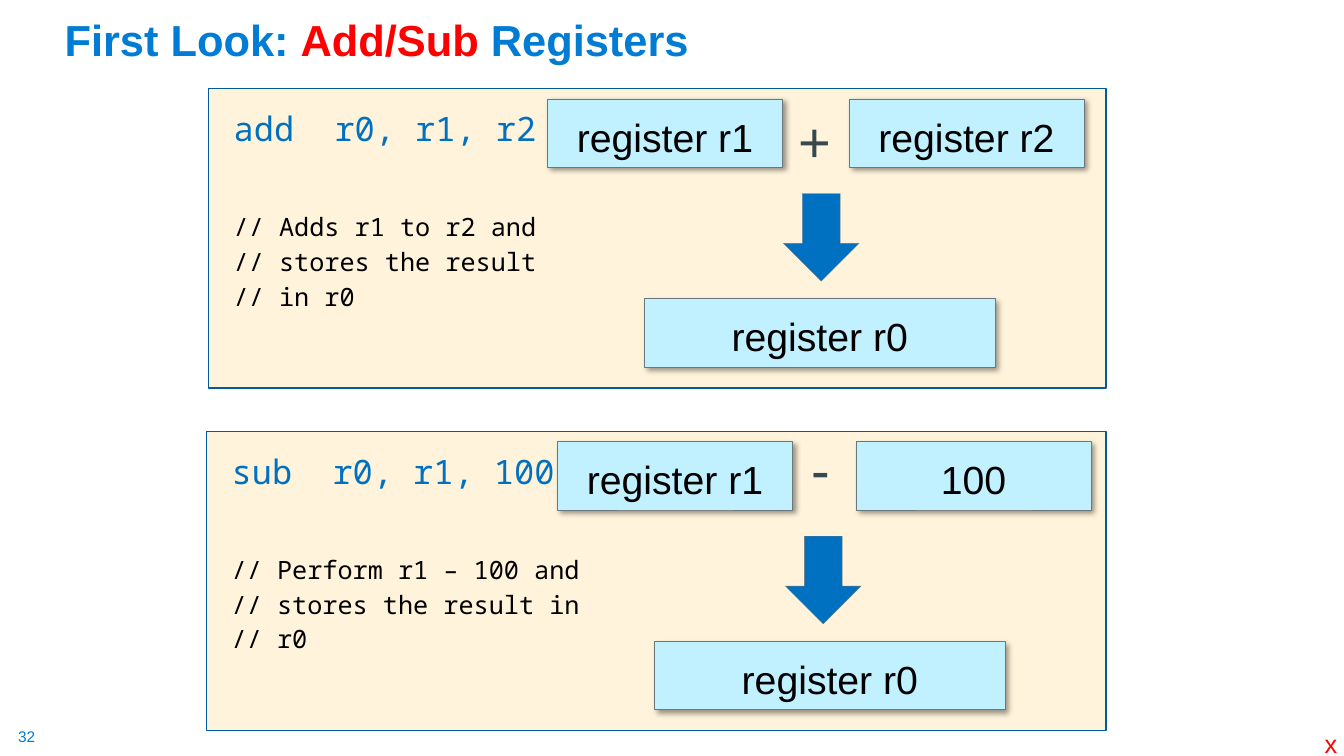
from dataclasses import dataclass

from lxml import etree
from pptx import Presentation
from pptx.dml.color import RGBColor
from pptx.enum.shapes import MSO_SHAPE
from pptx.enum.text import MSO_ANCHOR, MSO_AUTO_SIZE, PP_ALIGN
from pptx.oxml.ns import qn
from pptx.util import Inches, Pt

RECTANGLE, DOWN_ARROW = MSO_SHAPE.RECTANGLE, MSO_SHAPE.DOWN_ARROW
MIDDLE, BOTTOM = MSO_ANCHOR.MIDDLE, MSO_ANCHOR.BOTTOM
LEFT, CENTER = PP_ALIGN.LEFT, PP_ALIGN.CENTER
FIT_SHAPE, NO_FIT = MSO_AUTO_SIZE.SHAPE_TO_FIT_TEXT, MSO_AUTO_SIZE.NONE

TITLE_BLUE = RGBColor(0x00, 0x7C, 0xD5)
CODE_BLUE = RGBColor(0x00, 0x70, 0xC0)
PANEL_EDGE = RGBColor(0x00, 0x5C, 0x9E)
CREAM = RGBColor(0xFF, 0xF4, 0xDB)
PALE_CYAN = RGBColor(0xC1, 0xF0, 0xFF)
GREY = RGBColor(0x6B, 0x76, 0x7D)
SLATE = RGBColor(0x38, 0x48, 0x51)
RED = RGBColor(0xFF, 0x00, 0x00)
BLACK = RGBColor(0x00, 0x00, 0x00)

SANS, MONO = "Arial", "Noto Sans Mono"
REGISTER_WIDTH, RESULT_WIDTH, REGISTER_HEIGHT = 2.33, 3.48, 0.68


@dataclass
class Box:
    left: float
    top: float
    width: float
    height: float

    def emu(self):
        return [Inches(v) for v in (self.left, self.top, self.width, self.height)]


@dataclass
class Instruction:
    panel: Box
    code: str
    comments: list[str]
    code_width: float
    operands: tuple[str, str]
    operand_lefts: tuple[float, float]
    operator: str
    operator_box: Box
    arrow_left: float
    result_left: float


INSTRUCTIONS = [
    Instruction(Box(2.07, 0.88, 8.9, 2.97), "add\tr0, r1, r2",
                ["// Adds r1 to r2 and", "// stores the result // in r0"], 3.2,
                ("register r1", "register r2"), (5.43, 8.42),
                "+", Box(7.82, 1.01, 0.53, 0.77), 7.77, 6.39),
    Instruction(Box(2.05, 4.28, 8.92, 2.97), "sub\tr0, r1, 100",
                ["// Perform r1 – 100 and", "// stores the result in", "// r0"], 4.33,
                ("register r1", "100"), (5.53, 8.49),
                "-", Box(7.95, 4.26, 0.39, 0.77), 7.79, 6.49),
]


def style(item, size: float, color: RGBColor, name: str = SANS) -> None:
    item.font.size = Pt(size)
    item.font.name = name
    item.font.color.rgb = color


def add_filled(slide, kind, box: Box, fill: RGBColor, edge: RGBColor, weight: float):
    shape = slide.shapes.add_shape(kind, *box.emu())
    shape.shadow.inherit = False
    shape.fill.solid()
    shape.fill.fore_color.rgb = fill
    shape.line.color.rgb = edge
    shape.line.width = Pt(weight)
    return shape


def add_register(slide, box: Box, label: str) -> None:
    register = add_filled(slide, RECTANGLE, box, PALE_CYAN, GREY, 0.25)
    effects = register._element.spPr.find(qn("a:effectLst"))
    shadow = etree.SubElement(effects, qn("a:outerShdw"), blurRad=str(Pt(4)),
                              dist=str(Pt(3)), dir="2700000", algn="tl", rotWithShape="0")
    shade = etree.SubElement(shadow, qn("a:srgbClr"), val="000000")
    etree.SubElement(shade, qn("a:alpha"), val="40000")
    frame = register.text_frame
    frame.text = label
    frame.vertical_anchor = MIDDLE
    paragraph = frame.paragraphs[0]
    paragraph.alignment = CENTER
    paragraph.line_spacing = 1.15
    style(paragraph.runs[0], 28, BLACK)


def add_label(slide, box: Box, text: str, size: float, color: RGBColor):
    frame = slide.shapes.add_textbox(*box.emu()).text_frame
    frame.word_wrap = False
    frame.auto_size = FIT_SHAPE
    frame.text = text
    style(frame.paragraphs[0].runs[0], size, color)
    return frame


def add_code(slide, box: Box, code: str, comments: list[str]) -> None:
    frame = slide.shapes.add_textbox(*box.emu()).text_frame
    frame.word_wrap = True
    frame.text = code
    style(frame.paragraphs[0].runs[0], 24, CODE_BLUE, MONO)
    for index, comment in enumerate(comments):
        paragraph = frame.add_paragraph()
        paragraph.text = comment
        paragraph.line_spacing = 1.15
        paragraph.space_before = Pt(0 if index else 42)
        style(paragraph.runs[0], 18, BLACK, MONO)


def add_instruction(slide, item: Instruction) -> None:
    left, top = item.panel.left, item.panel.top
    add_filled(slide, RECTANGLE, item.panel, CREAM, PANEL_EDGE, 1)
    add_code(slide, Box(left + 0.15, top + 0.14, item.code_width, 2.46),
             item.code, item.comments)
    for label, operand_left in zip(item.operands, item.operand_lefts):
        add_register(slide, Box(operand_left, top + 0.1, REGISTER_WIDTH, REGISTER_HEIGHT), label)
    add_label(slide, item.operator_box, item.operator, 40, SLATE)
    add_filled(slide, DOWN_ARROW, Box(item.arrow_left, top + 1.04, 0.75, 0.87),
               CODE_BLUE, GREY, 0.25)
    add_register(slide, Box(item.result_left, top + 2.08, RESULT_WIDTH, REGISTER_HEIGHT),
                 "register r0")


def set_title(slide) -> None:
    title = slide.shapes.title
    title.left, title.top, title.width, title.height = Box(0.54, 0.09, 11.5, 0.61).emu()
    frame = title.text_frame
    frame.vertical_anchor = BOTTOM
    frame.auto_size = NO_FIT
    paragraph = frame.paragraphs[0]
    paragraph.alignment = LEFT
    paragraph.line_spacing = 0.9
    for text, color in (("First Look: ", TITLE_BLUE), ("Add/Sub ", RED),
                        ("Registers", TITLE_BLUE)):
        run = paragraph.add_run()
        run.text = text
        style(run, 31, color)
        run.font.bold = True


def main() -> None:
    deck = Presentation()
    deck.slide_width, deck.slide_height = Inches(13.33), Inches(7.5)
    slide = deck.slides.add_slide(deck.slide_layouts[5])
    set_title(slide)

    # Instruction panels
    for item in INSTRUCTIONS:
        add_instruction(slide, item)

    # Slide number and corner mark
    number = add_label(slide, Box(0.18, 7.21, 0.19, 0.19), "32", 11, TITLE_BLUE)
    number.margin_left = number.margin_right = number.margin_top = number.margin_bottom = 0
    add_label(slide, Box(13.04, 7.18, 0.33, 0.4), "x", 18, RED)

    deck.save("out.pptx")


if __name__ == "__main__":
    main()
